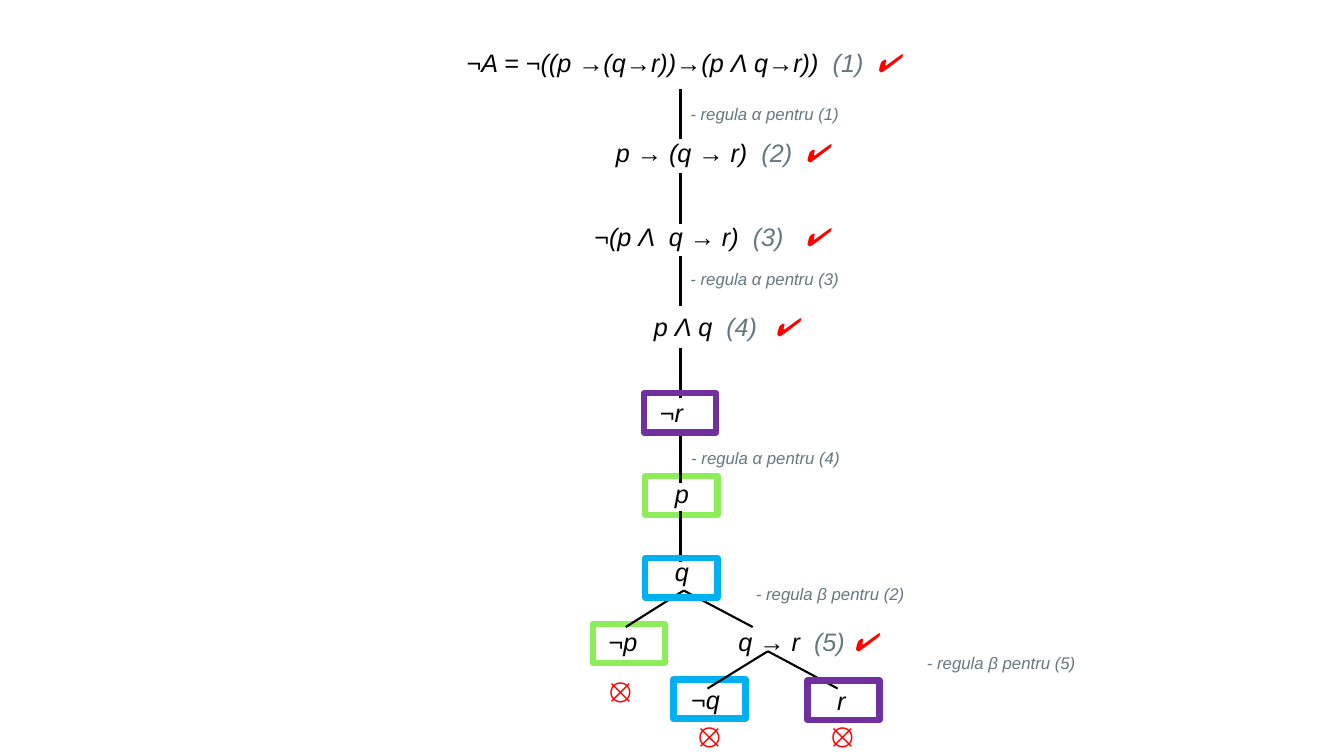
from dataclasses import dataclass

from lxml.etree import SubElement
from pptx import Presentation
from pptx.dml.color import RGBColor as RGB
from pptx.enum.shapes import MSO_CONNECTOR, MSO_SHAPE
from pptx.enum.text import MSO_AUTO_SIZE as AUTO
from pptx.oxml.ns import qn
from pptx.util import Cm, Pt


@dataclass(frozen=True)
class Theme:
    font: str = "Arial"
    ink: str = "000000"
    grey: str = "657780"
    red: str = "FF0000"
    white: str = "FFFFFF"
    blue: str = "00B0F0"
    green: str = "8EED5A"
    purple: str = "7030A0"
    formula: int = 18
    note: int = 12
    closed: int = 24
    edge: float = 1.5
    frame: float = 4.5


T = Theme()
WIDE = 7.62
GAP = "  "

# All positions are in centimetres.
# text, left, top, width
LITERALS = [
    ("¬r", 16.38, 9.88, WIDE),
    ("p", 16.76, 11.94, WIDE),
    ("q", 16.76, 13.89, 1.14),
    ("¬p", 15.09, 15.65, WIDE),
    ("¬q", 17.17, 17.12, 1.8),
    ("r", 20.85, 17.15, 2.13),
]
# text, number, left, top, width, left of its tick
FORMULAS = [
    ("¬A = ¬((p →(q→r))→(p Λ q→r))", 1, 11.51, 1.07, 10.77, 21.84),
    ("p → (q → r)", 2, 15.27, 3.34, WIDE, 20.04),
    ("¬(p Λ  q → r)", 3, 14.73, 5.45, WIDE, 20.04),
    ("p Λ q", 4, 16.23, 7.72, WIDE, 19.28),
    ("q → r", 5, 18.36, 15.67, WIDE, 21.26),
]
# rule, formula number, left, top
RULES = [
    ("α", 1, 17.15, 2.49),
    ("α", 3, 17.15, 6.65),
    ("α", 4, 17.17, 11.15),
    ("β", 2, 18.8, 14.58),
    ("β", 5, 23.11, 16.33),
]
CLOSED = [(15.11, 16.71), (17.35, 17.83), (20.7, 17.83)]

# left, top, line colour, fill colour
FRAMES_BEHIND = [
    (16.97, 17.12, T.blue, None),
    (14.94, 15.72, T.green, T.white),
    (16.26, 11.99, T.green, T.white),
]
FRAMES_IN_FRONT = [
    (16.26, 14.07, T.blue, None),
    (20.35, 17.15, T.purple, None),
    (16.23, 9.91, T.purple, None),
]
FRAME_W, FRAME_H = 1.82, 0.99

STEM_X, STEM_LENGTH = 17.15, 1.27
STEM_TOPS = [2.24, 4.37, 6.45, 8.76, 10.9, 12.88]
# apex x, apex y, left foot x, right foot x, foot y
BRANCHES = [
    (17.23, 14.88, 15.77, 18.97, 15.8),
    (19.35, 16.41, 17.83, 21.11, 17.35),
]


def add_text(s, left, top, width, size, *runs):
    """Add one line of italic text; each run is a (text, colour) pair."""
    sp = s.shapes.add_textbox(Cm(left), Cm(top), Cm(width), Cm(1.02))
    tf = sp.text_frame
    tf.word_wrap = True
    tf.auto_size = AUTO.SHAPE_TO_FIT_TEXT
    p = tf.paragraphs[0]
    for text, colour in runs:
        r = p.add_run()
        r.text = text
        r.font.name = T.font
        r.font.size = Pt(size)
        r.font.italic = True
        r.font.color.rgb = RGB.from_string(colour)


def add_edge(s, x1, y1, x2, y2):
    line = s.shapes.add_connector(
        MSO_CONNECTOR.STRAIGHT, Cm(x1), Cm(y1), Cm(x2), Cm(y2))
    line.line.color.rgb = RGB.from_string(T.ink)
    line.line.width = Pt(T.edge)
    SubElement(line._element.spPr, qn("a:effectLst"))


def add_frames(s, frames):
    for left, top, colour, fill in frames:
        sp = s.shapes.add_shape(
            MSO_SHAPE.RECTANGLE, Cm(left), Cm(top), Cm(FRAME_W), Cm(FRAME_H))
        sp.shadow.inherit = False
        sp.line.color.rgb = RGB.from_string(colour)
        sp.line.width = Pt(T.frame)
        if fill:
            sp.fill.solid()
            sp.fill.fore_color.rgb = RGB.from_string(fill)
        else:
            sp.fill.background()


def add_edges(s):
    for top in STEM_TOPS:
        add_edge(s, STEM_X, top, STEM_X, top + STEM_LENGTH)
    for x, y, left_foot, right_foot, foot_y in BRANCHES:
        for foot in (left_foot, right_foot):
            add_edge(s, x, y, foot, foot_y)


def add_labels(s):
    for text, number, left, top, width, tick_left in FORMULAS:
        add_text(s, left, top, width, T.formula,
                 (text + GAP, T.ink), (f"({number})", T.grey))
        add_text(s, tick_left, top, WIDE, T.formula, ("✔", T.red))
    for text, left, top, width in LITERALS:
        add_text(s, left, top, width, T.formula, (text, T.ink))
    for rule, number, left, top in RULES:
        add_text(s, left, top, WIDE, T.note,
                 (f"- regula {rule} pentru ({number})", T.grey))
    for left, top in CLOSED:
        add_text(s, left, top, 1.1, T.closed, ("⦻", T.red))


def main():
    prs = Presentation()
    prs.slide_width, prs.slide_height = Cm(33.87), Cm(19.05)
    s = prs.slides.add_slide(prs.slide_layouts.get_by_name("Blank"))
    add_frames(s, FRAMES_BEHIND)
    add_edges(s)
    add_labels(s)
    add_frames(s, FRAMES_IN_FRONT)
    prs.save("out.pptx")


if __name__ == "__main__":
    main()
